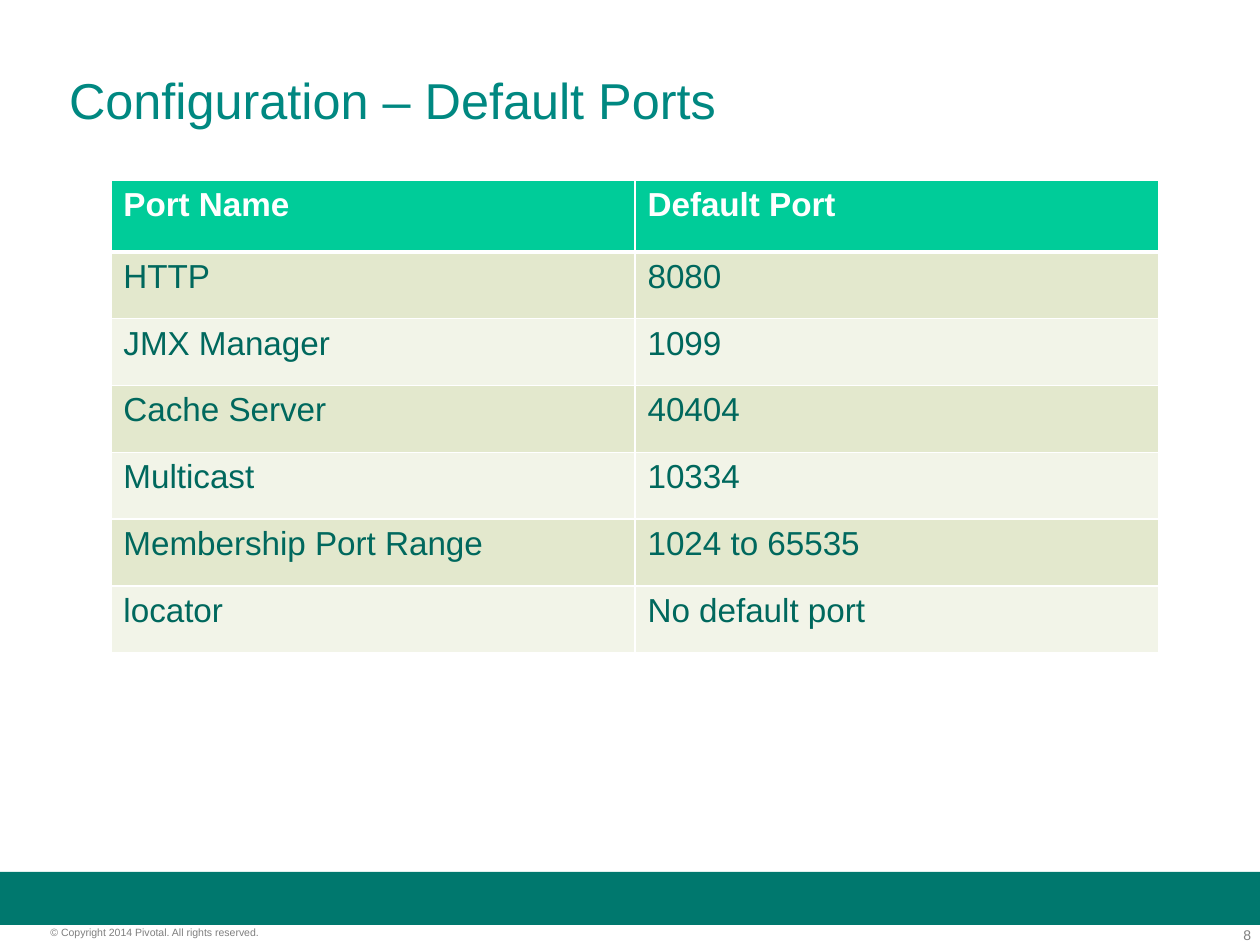
from lxml import etree
from pptx import Presentation
from pptx.dml.color import RGBColor
from pptx.enum.shapes import MSO_SHAPE
from pptx.enum.text import MSO_ANCHOR, PP_ALIGN
from pptx.oxml.ns import qn
from pptx.util import Inches, Pt

RECTANGLE = MSO_SHAPE.RECTANGLE
MIDDLE, TOP = MSO_ANCHOR.MIDDLE, MSO_ANCHOR.TOP
LEFT, RIGHT = PP_ALIGN.LEFT, PP_ALIGN.RIGHT

PORTS = [
    ("Port Name", "Default Port"),
    ("HTTP", "8080"),
    ("JMX Manager", "1099"),
    ("Cache Server", "40404"),
    ("Multicast", "10334"),
    ("Membership Port Range", "1024 to 65535"),
    ("locator", "No default port"),
]


def color(value):
    return RGBColor.from_string(value)


class SlideBuilder:
    FONT = "Arial"
    TITLE, BAND, FOOTER = "008881", "00786E", "7F7F7F"
    HEADER_FILL, HEADER_TEXT, BODY_TEXT = "00CC99", "FFFFFF", "00685D"
    ROW_FILLS = ("F2F4E8", "E3E8CD")  # even rows, odd rows
    BORDER = "FFFFFF"

    def __init__(self, slide):
        self.slide = slide

    def format_text(self, text_frame, size, text_color, bold=False):
        for paragraph in text_frame.paragraphs:
            for run in paragraph.runs:
                run.font.name = self.FONT
                run.font.size = Pt(size)
                run.font.bold = bold
                run.font.color.rgb = color(text_color)

    def band(self, left, top, width, height):
        shape = self.slide.shapes.add_shape(
            RECTANGLE, Inches(left), Inches(top), Inches(width), Inches(height))
        shape.shadow.inherit = False
        shape.fill.solid()
        shape.fill.fore_color.rgb = color(self.BAND)
        shape.line.fill.background()

    def text(self, text, left, top, width, height, size, text_color,
             align=LEFT, anchor=TOP, margins=(0, 0)):
        box = self.slide.shapes.add_textbox(
            Inches(left), Inches(top), Inches(width), Inches(height))
        frame = box.text_frame
        frame.word_wrap = True
        frame.vertical_anchor = anchor
        frame.margin_left = frame.margin_right = Inches(margins[0])
        frame.margin_top = frame.margin_bottom = Inches(margins[1])
        frame.text = text
        frame.paragraphs[0].alignment = align
        self.format_text(frame, size, text_color)

    def cell_borders(self, cell, widths):
        properties = cell._tc.get_or_add_tcPr()
        for index, (side, width) in enumerate(widths.items()):
            line = etree.Element(qn(f"a:{side}"), w=str(Pt(width)))
            fill = etree.SubElement(line, qn("a:solidFill"))
            etree.SubElement(fill, qn("a:srgbClr"), val=self.BORDER)
            properties.insert(index, line)  # borders come before the fill

    def table(self, rows, left, top, column_width, header_height, row_height):
        columns = len(rows[0])
        height = header_height + row_height * (len(rows) - 1)
        table = self.slide.shapes.add_table(
            len(rows), columns, Inches(left), Inches(top),
            Inches(column_width * columns), Inches(height)).table
        for column in table.columns:
            column.width = Inches(column_width)
        for row_index, values in enumerate(rows):
            header = row_index == 0
            table.rows[row_index].height = Inches(header_height if header else row_height)
            fill = self.HEADER_FILL if header else self.ROW_FILLS[row_index % 2]
            text_color = self.HEADER_TEXT if header else self.BODY_TEXT
            borders = {"lnL": 1, "lnR": 1, "lnT": 3 if row_index == 1 else 1,
                       "lnB": 3 if header else 1}
            for column_index, value in enumerate(values):
                cell = table.cell(row_index, column_index)
                cell.text_frame.text = value
                self.format_text(cell.text_frame, 19, text_color, bold=header)
                cell.fill.solid()
                cell.fill.fore_color.rgb = color(fill)
                self.cell_borders(cell, borders)


def main():
    presentation = Presentation()
    presentation.slide_width, presentation.slide_height = Inches(10), Inches(7.5)
    builder = SlideBuilder(
        presentation.slides.add_slide(presentation.slide_layouts[6]))

    # Footer
    builder.band(0, 6.92, 10, 0.42)
    builder.text("8", 9.35, 7.35, 0.58, 0.13, 8, builder.FOOTER, align=RIGHT)
    builder.text("© Copyright 2014 Pivotal. All rights reserved.",
                 0.4, 7.35, 2.49, 0.1, 6, builder.FOOTER)

    # Title
    builder.text("Configuration – Default Ports", 0.45, 0.55, 8.98, 0.48,
                 28.8, builder.TITLE, anchor=MIDDLE, margins=(0.1, 0.05))

    # Port table
    builder.table(PORTS, 0.88, 1.43, column_width=4.16,
                  header_height=0.57, row_height=0.53)

    presentation.save("out.pptx")


if __name__ == "__main__":
    main()
